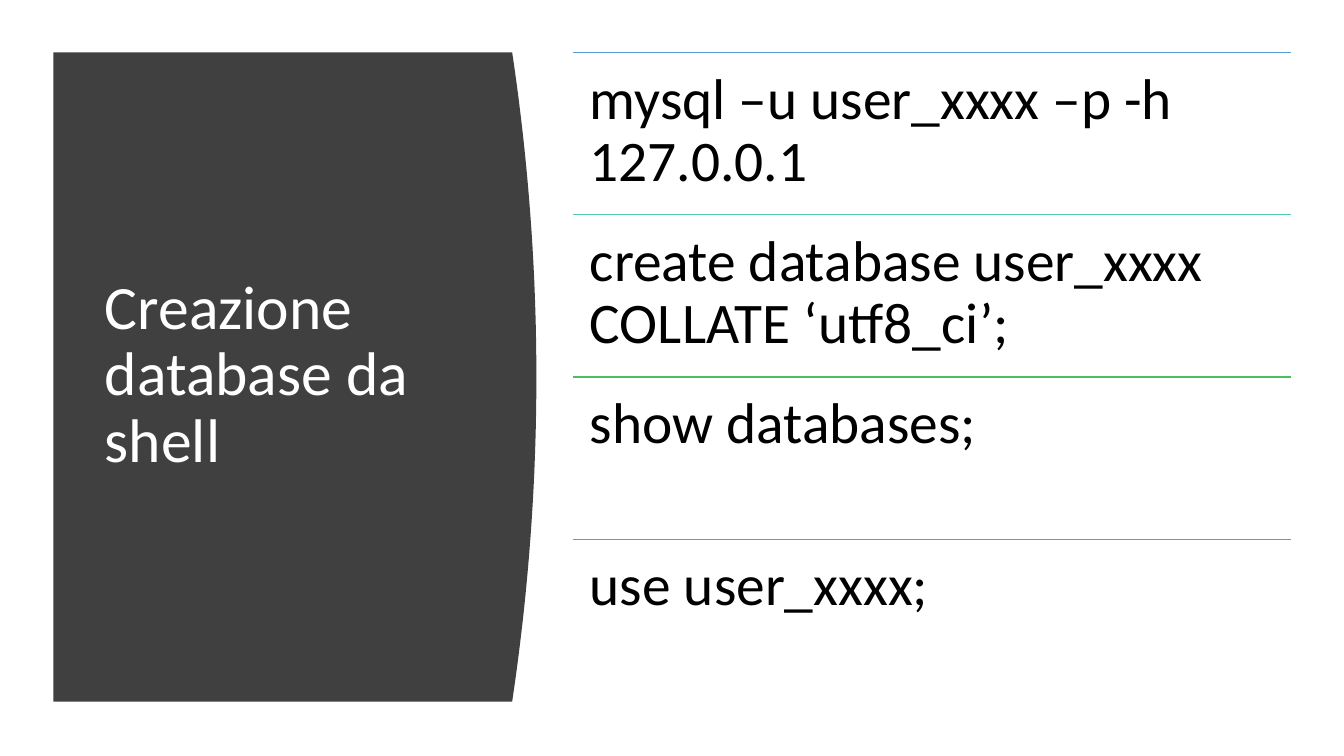
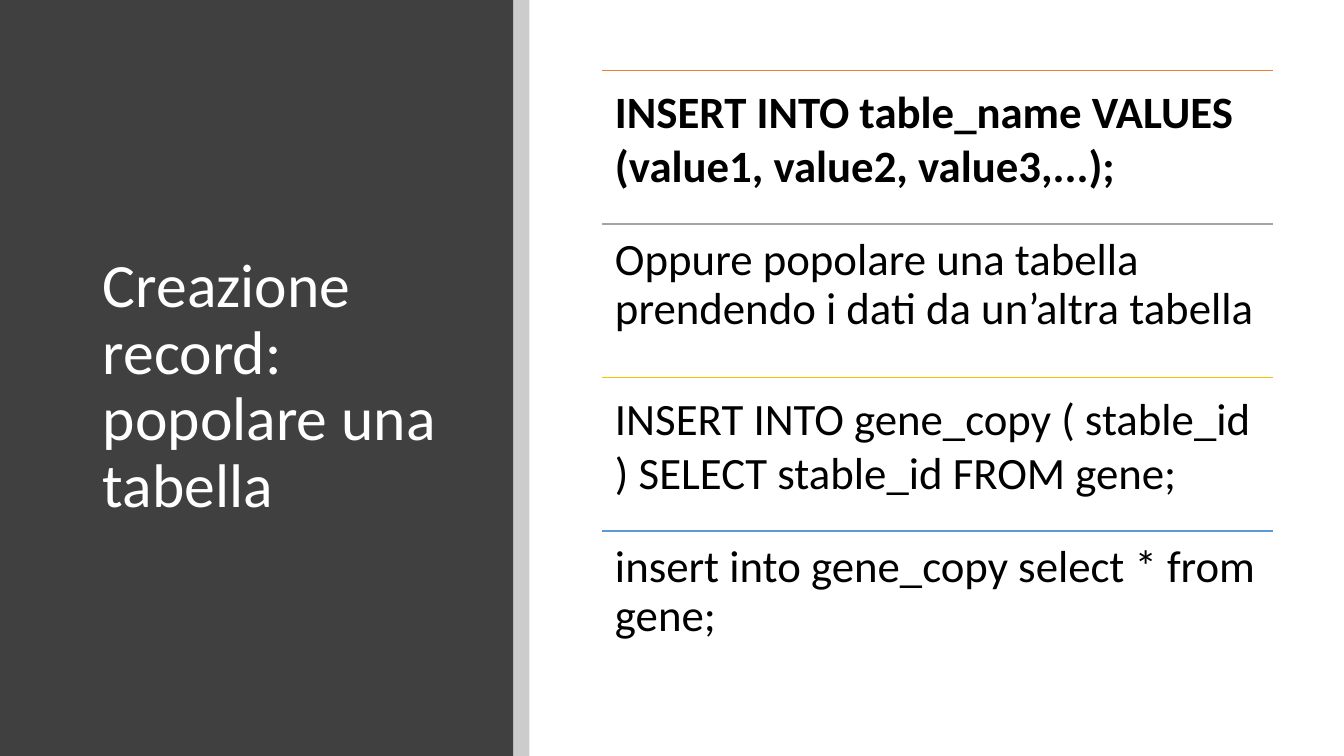
import pptx
import pptx.dml.color
import pptx.enum.shapes
import pptx.enum.text
import pptx.oxml.ns
import pptx.util
from lxml import etree

Inches = pptx.util.Inches
Pt = pptx.util.Pt

WIDTH, HEIGHT = 13.33, 7.5
FONT = "Calibri"
TITLE_SIZE = 44
TIGHT = 0.9  # line spacing
COLORS = {
    "panel": "404040", "title": "FFFFFF", "text": "000000", "strip": "000000",
    "blue": "5B9BD5", "teal": "52CAB8", "emerald": "49BF64", "green": "70AD47",
    "orange": "ED7D31", "gray": "A5A5A5", "gold": "FFC000",
}


def rgb(name):
    return pptx.dml.color.RGBColor.from_string(COLORS[name])


def style_text(p, size, color, spacing=TIGHT, bold=False):
    p.alignment = pptx.enum.text.PP_ALIGN.LEFT
    p.line_spacing = spacing
    for r in p.runs:
        r.font.name = FONT
        r.font.size = Pt(size)
        r.font.bold = bold
        r.font.color.rgb = rgb(color)


def paint(sp, color, alpha=None):
    """Flat fill without outline or shadow; alpha is a percentage."""
    sp.shadow.inherit = False
    sp.line.fill.background()
    sp.fill.solid()
    sp.fill.fore_color.rgb = rgb(color)
    if alpha is not None:
        clr = sp.fill._xPr.find(".//" + pptx.oxml.ns.qn("a:srgbClr"))
        etree.SubElement(clr, pptx.oxml.ns.qn("a:alpha"), val=str(alpha * 1000))


def add_band(s, left, width, color, alpha=None):
    """Vertical band over the full height of the slide."""
    sp = s.shapes.add_shape(pptx.enum.shapes.MSO_SHAPE.RECTANGLE,
                            Inches(left), 0, Inches(width), Inches(HEIGHT))
    paint(sp, color, alpha)


def add_curved_panel(s, left, top, width, height, bulge, steps=40):
    """Panel whose right edge swells outwards as a parabola."""
    edge = []
    for i in range(steps + 1):
        t = i / steps
        x = left + width + bulge * (1 - (2 * t - 1) ** 2)
        edge.append((Inches(x), Inches(top + height * t)))
    builder = s.shapes.build_freeform(Inches(left), Inches(top))
    builder.add_line_segments(edge + [(Inches(left), Inches(top + height))], close=True)
    paint(builder.convert_to_shape(), "panel")


def set_title(s, text, left, top, width, height):
    sp = s.shapes.title
    s.shapes._spTree.append(sp._element)  # in front of the panel
    sp.left, sp.top, sp.width, sp.height = map(Inches, (left, top, width, height))
    tf = sp.text_frame
    tf.text = text
    tf.auto_size = pptx.enum.text.MSO_AUTO_SIZE.NONE
    tf.vertical_anchor = pptx.enum.text.MSO_ANCHOR.MIDDLE
    style_text(tf.paragraphs[0], TITLE_SIZE, "title")


def add_rule(s, left, top, width, color):
    line = s.shapes.add_connector(pptx.enum.shapes.MSO_CONNECTOR.STRAIGHT, Inches(left),
                                  Inches(top), Inches(left + width), Inches(top))
    line.line.color.rgb = rgb(color)
    line.line.width = Pt(1)
    etree.SubElement(line._element.spPr, pptx.oxml.ns.qn("a:effectLst"))


def add_ruled_list(s, left, top, width, height, size, inset, rows):
    """Equal rows, each under a coloured rule: (colour, text, spacing, bold)."""
    row_height = height / len(rows)
    for i, (color, text, spacing, bold) in enumerate(rows):
        y = top + i * row_height
        add_rule(s, left, y, width, color)
        sp = s.shapes.add_textbox(Inches(left), Inches(y), Inches(width), Inches(row_height))
        tf = sp.text_frame
        tf.word_wrap = True
        tf.margin_left = tf.margin_right = tf.margin_top = tf.margin_bottom = Inches(inset)
        tf.text = text
        style_text(tf.paragraphs[0], size, "text", spacing, bold)


def main():
    prs = pptx.Presentation()
    prs.slide_width, prs.slide_height = Inches(WIDTH), Inches(HEIGHT)
    title_only = prs.slide_layouts[5]

    # Creating a database
    s = prs.slides.add_slide(title_only)
    add_curved_panel(s, 0.53, 0.52, 4.55, 6.44, bulge=0.24)
    set_title(s, "Creazione database da shell", 0.94, 1.11, 3.74, 5.24)
    add_ruled_list(s, 5.68, 0.52, 7.12, 6.44, 41, 0.17, [
        ("blue", "mysql –u user_xxxx –p -h 127.0.0.1", TIGHT, False),
        ("teal", "create database user_xxxx COLLATE ‘utf8_ci’;", TIGHT, False),
        ("emerald", "show databases;", TIGHT, False),
        ("green", "use user_xxxx;", TIGHT, False),
    ])

    # Filling a table
    s = prs.slides.add_slide(title_only)
    add_band(s, 0, 5.09, "panel")
    set_title(s, "Creazione record: popolare una tabella", 0.92, 0.89, 3.65, 5.91)
    add_band(s, 5.09, 0.16, "strip", alpha=20)
    add_ruled_list(s, 5.97, 0.7, 6.66, 6.09, 32, 0.13, [
        ("orange", "INSERT INTO table_name VALUES (value1, value2, value3,...);", 1.0, True),
        ("gray", "Oppure popolare una tabella prendendo i dati da un’altra tabella", TIGHT, False),
        ("gold", "INSERT INTO gene_copy ( stable_id ) SELECT stable_id FROM gene;", 1.0, False),
        ("blue", "insert into gene_copy select * from gene;", TIGHT, False),
    ])

    prs.save("out.pptx")


if __name__ == "__main__":
    main()
